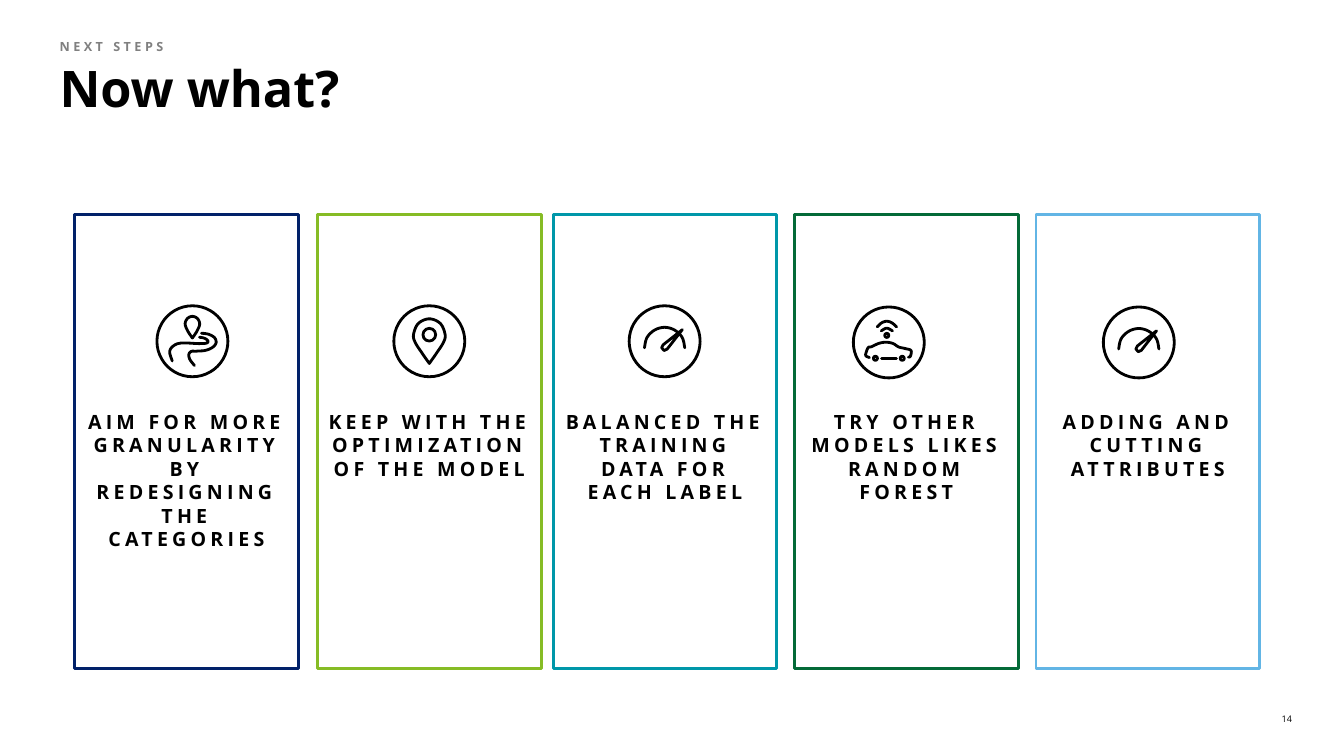
from dataclasses import dataclass

from pptx import Presentation
from pptx.dml.color import RGBColor
from pptx.enum.shapes import MSO_SHAPE
from pptx.enum.text import MSO_ANCHOR, PP_ALIGN
from pptx.oxml import parse_xml
from pptx.oxml.ns import nsdecls, qn
from pptx.util import Cm, Pt

RECTANGLE, OVAL = MSO_SHAPE.RECTANGLE, MSO_SHAPE.OVAL
TOP, BOTTOM = MSO_ANCHOR.TOP, MSO_ANCHOR.BOTTOM
LEFT, CENTER, RIGHT = PP_ALIGN.LEFT, PP_ALIGN.CENTER, PP_ALIGN.RIGHT


@dataclass(frozen=True)
class Theme:
    font: str = "Open Sans"
    ink: str = "000000"
    muted: str = "808080"
    paper: str = "FFFFFF"
    title_size: float = 36
    eyebrow_size: float = 9
    card_size: float = 14
    number_size: float = 6.5
    line_width: float = 2


THEME = Theme()
CARD_TOP, CARD_WIDTH, CARD_HEIGHT = 5.41, 5.64, 11.43
ICON_UNIT = 0.0254
RING_RADIUS = 35.2


def teardrop(tip, left_side, top):
    """Return a closed curve that mirrors its left side in the vertical axis."""
    right_side = [(-x, y) for x, y in reversed(left_side)]
    return "curve", [tip, *left_side, top, *right_side, tip]


# Icon strokes are measured in ICON_UNIT from the centre of the ring.
GAUGE = [
    ("curve", [(-20, 6.5), (-17.5, -3.6), (-10, -11), (0, -13.8),
               (10, -11), (17.5, -3.6), (20, 6.5)]),
    ("line", [(17.5, -11.5), (-1.5, 3.5), (-3, 6.5), (-0.5, 9.2),
              (2.5, 7.8), (17.5, -11.5)]),
]
PIN = [
    teardrop((0, 22), [(-7, 12), (-13.8, 1.5), (-15.7, -6.5), (-11, -17.6)],
             (0, -22.3)),
    ("circle", (0, -6.5, 6.3)),
]
ROUTE = [
    teardrop((0, -3.2), [(-4.5, -10), (-7.2, -17), (-5, -22.5)], (0, -24.7)),
    ("curve", [(7, -4), (12, -3), (15.3, -0.5), (14, 1.8), (6, 2.3),
               (-10, 1.7), (-18, 4), (-22.5, 10), (-20, 19.5)]),
    ("curve", [(9, -8), (16, -7), (22, -3.5), (23.5, 1.5), (20, 6), (13, 9),
               (4, 9.8), (-1, 10), (-3.5, 13), (-2.5, 18), (2, 24)]),
]
CAR = [
    ("circle", (-13.3, 15.7, 2)),
    ("circle", (13.3, 15.7, 2)),
    ("line", [(-7.2, 15.7), (7.5, 15.7)]),
    ("curve", [(-19.2, 15), (-22.7, 13.3), (-22.5, 10), (-20.3, 5), (-17, 4.2),
               (-10, 1), (-3, -0.2), (4, 1), (9.8, 4.5), (16, 6), (22, 8),
               (21.5, 13.5), (19.5, 14.7)]),
    ("circle", (-2, -7, 2)),
    ("curve", [(-7.5, -11.5), (-2, -14.2), (3.7, -11.5)]),
    ("curve", [(-11.5, -15.5), (-7, -19.5), (-2, -21), (3, -19.5), (7.7, -15.5)]),
]

# Left edge, border colour, text, icon strokes, icon centre.
CARDS = [
    (1.88, "012169", "AIM FOR MORE GRANULARITY BY REDESIGNING THE CATEGORIES",
     ROUTE, (4.85, 8.6)),
    (8.0, "86BC25", "KEEP WITH THE OPTIMIZATION OF THE MODEL", PIN, (10.82, 8.6)),
    (13.94, "0097A9", "BALANCED THE TRAINING DATA FOR EACH LABEL",
     GAUGE, (16.75, 8.6)),
    (20.02, "046A38", "TRY OTHER MODELS LIKES RANDOM FOREST", CAR, (22.4, 8.63)),
    (26.11, "62B5E5", "ADDING AND CUTTING ATTRIBUTES", GAUGE, (28.7, 8.63)),
]


def write(shape, text, size, color=THEME.ink, bold=True, align=LEFT, anchor=TOP,
          margins=(0, 0, 0, 0), spacing=0):
    """Fill a shape with one paragraph; margins run left, top, right, bottom."""
    frame = shape.text_frame
    frame.word_wrap = True
    frame.vertical_anchor = anchor
    (frame.margin_left, frame.margin_top,
     frame.margin_right, frame.margin_bottom) = map(Cm, margins)
    frame.text = text
    paragraph = frame.paragraphs[0]
    paragraph.alignment = align
    paragraph.space_before = Pt(0)
    if shape.is_placeholder:
        properties = paragraph._p.get_or_add_pPr()
        properties.set("marL", "0")
        properties.set("indent", "0")
        properties.append(parse_xml(f"<a:buNone {nsdecls('a')}/>"))
    font = paragraph.font
    font.name, font.size, font.bold = THEME.font, Pt(size), bold
    font.color.rgb = RGBColor.from_string(color)
    if spacing:
        defaults = paragraph._p.pPr.find(qn("a:defRPr"))
        defaults.set("spc", str(round(spacing * 100)))
    return paragraph


def place(shape, left, top, width, height):
    shape.left, shape.top = Cm(left), Cm(top)
    shape.width, shape.height = Cm(width), Cm(height)


def outline(shape, color):
    shape.shadow.inherit = False
    shape.line.color.rgb = RGBColor.from_string(color)
    shape.line.width = Pt(THEME.line_width)


def smooth(points, steps=8):
    """Sample a Catmull-Rom curve that passes through all the points."""
    padded = [points[0], *points, points[-1]]
    samples = [points[0]]
    for a, b, c, d in zip(padded, padded[1:], padded[2:], padded[3:]):
        for step in range(1, steps + 1):
            t = step / steps
            samples.append(tuple(
                q + 0.5 * t * (r - p + t * (2 * p - 5 * q + 4 * r - s
                                            + t * (3 * (q - r) + s - p)))
                for p, q, r, s in zip(a, b, c, d)))
    return samples


def add_icon(slide, strokes, center):
    group = slide.shapes.add_group_shape()

    def locate(x, y):
        return (Cm(center[0] + x * ICON_UNIT), Cm(center[1] + y * ICON_UNIT))

    for kind, geometry in [("circle", (0, 0, RING_RADIUS)), *strokes]:
        if kind == "circle":
            x, y, radius = geometry
            diameter = Cm(2 * radius * ICON_UNIT)
            shape = group.shapes.add_shape(
                OVAL, *locate(x - radius, y - radius), diameter, diameter)
        else:
            points = smooth(geometry) if kind == "curve" else geometry
            vertices = [locate(x, y) for x, y in points]
            builder = group.shapes.build_freeform(*vertices[0])
            builder.add_line_segments(vertices[1:], close=points[0] == points[-1])
            shape = builder.convert_to_shape()
        shape.fill.background()
        outline(shape, THEME.ink)
        line = shape._element.spPr.find(qn("a:ln"))
        line.set("cap", "rnd")
        line.append(parse_xml(f"<a:round {nsdecls('a')}/>"))


def add_card(slide, left, color, text):
    card = slide.shapes.add_shape(
        RECTANGLE, Cm(left), Cm(CARD_TOP), Cm(CARD_WIDTH), Cm(CARD_HEIGHT))
    card.fill.solid()
    card.fill.fore_color.rgb = RGBColor.from_string(THEME.paper)
    outline(card, color)
    write(card, text, THEME.card_size, align=CENTER,
          margins=(0.25, 4.91, 0.25, 0), spacing=3)


def main():
    presentation = Presentation()
    presentation.slide_width, presentation.slide_height = Cm(33.87), Cm(19.05)
    slide = presentation.slides.add_slide(presentation.slide_layouts[1])

    title, eyebrow = slide.placeholders
    place(title, 1.5, 1.55, 31.27, 1.4)
    write(title, "Now what?", THEME.title_size, anchor=BOTTOM).line_spacing = 0.8
    place(eyebrow, 1.5, 0.97, 13.06, 0.48)
    write(eyebrow, "NEXT STEPS", THEME.eyebrow_size, THEME.muted, spacing=2.5)

    for left, color, text, strokes, center in CARDS:
        add_card(slide, left, color, text)
        add_icon(slide, strokes, center)

    number = slide.shapes.add_textbox(Cm(31.7), Cm(17.98), Cm(0.86), Cm(0.28))
    write(number, "14", THEME.number_size, bold=False, align=RIGHT)
    presentation.save("out.pptx")


if __name__ == "__main__":
    main()
